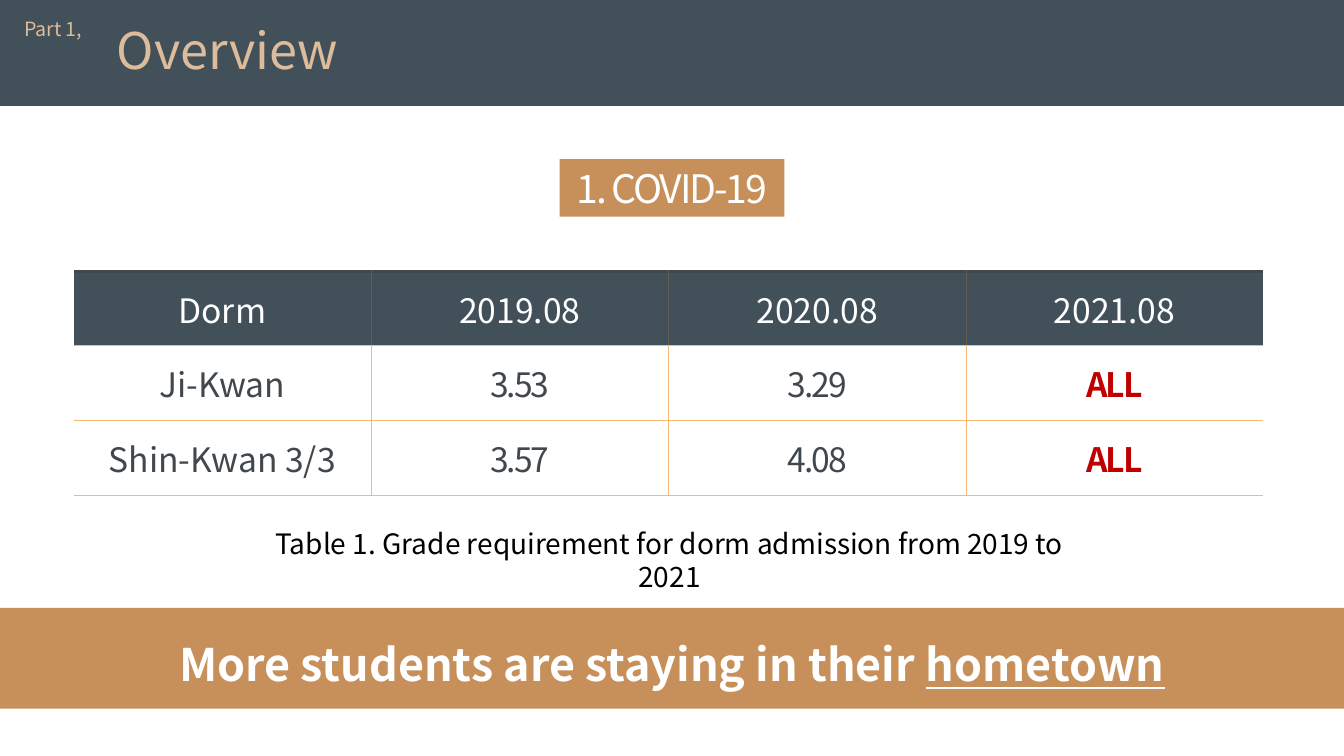
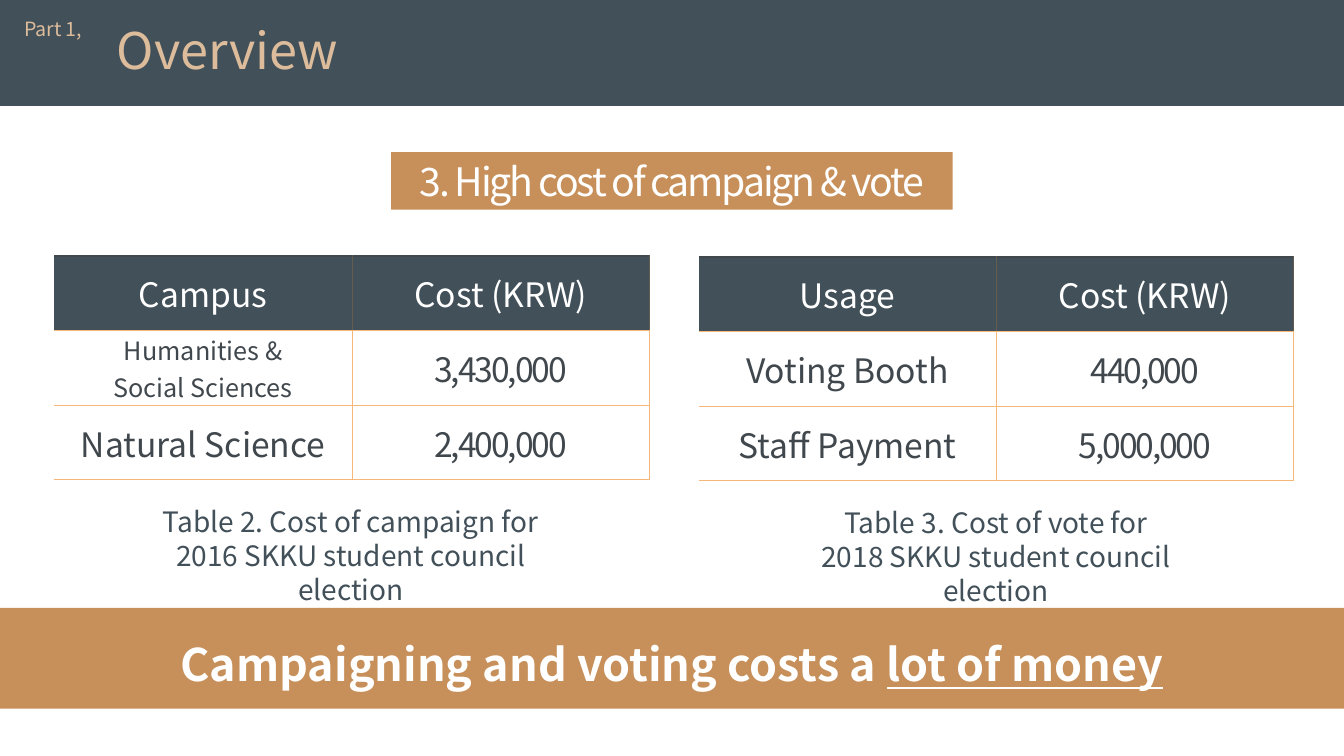
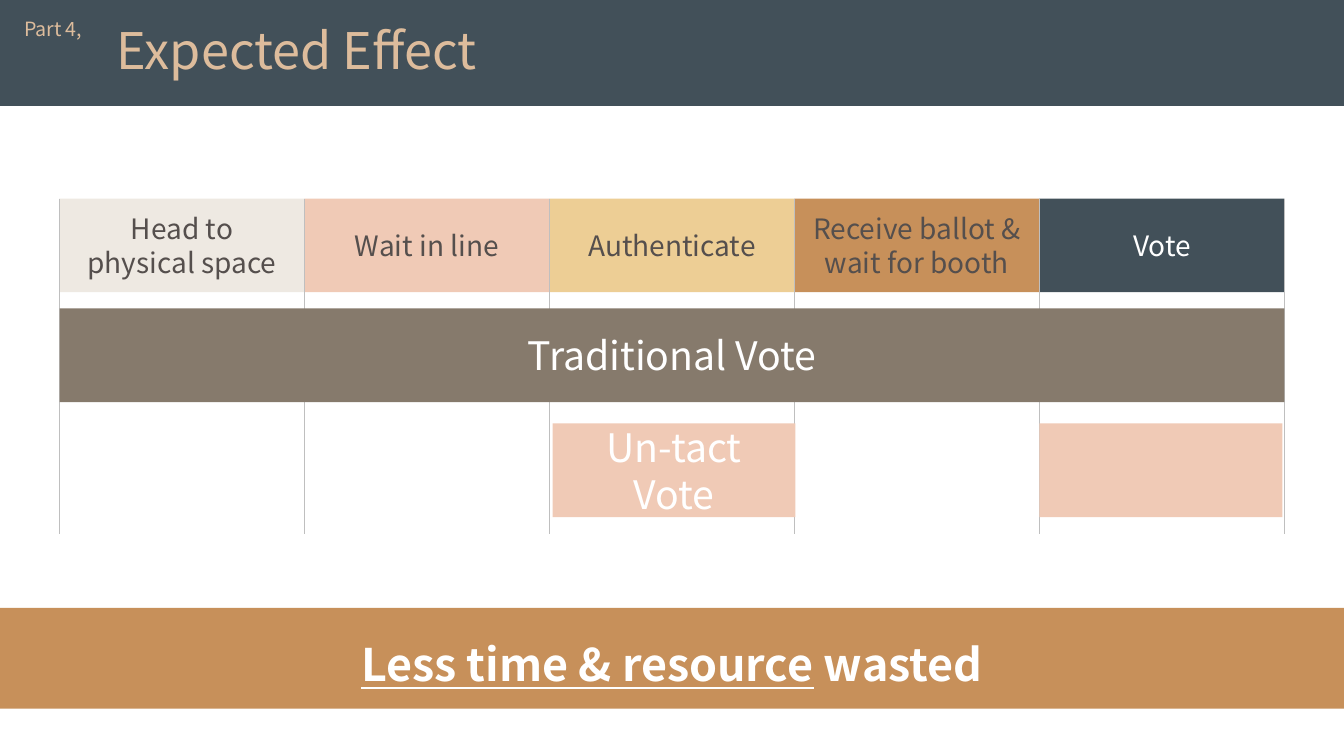
from lxml import etree
from pptx import Presentation
from pptx.dml.color import RGBColor
from pptx.enum import shapes, text
from pptx.oxml import ns
from pptx.util import Inches, Pt

FONT = "Noto Sans CJK KR"
SLATE = RGBColor(0x42, 0x50, 0x59)
BROWN = RGBColor(0xC7, 0x90, 0x5A)
SAND = RGBColor(0xDD, 0xBC, 0x9C)
WHITE = RGBColor(0xFF, 0xFF, 0xFF)
BLACK = RGBColor(0, 0, 0)
INK = RGBColor(0x40, 0x47, 0x4D)
RED = RGBColor(0xC0, 0, 0)
GOLD = RGBColor(0xF6, 0xB8, 0x79)
DUSK = RGBColor(0x64, 0x5B, 0x51)
CREAM = RGBColor(0xEE, 0xE9, 0xE2)
PINK = RGBColor(0xF0, 0xCA, 0xB6)
WHEAT = RGBColor(0xED, 0xCE, 0x95)
TAUPE = RGBColor(0x86, 0x7A, 0x6C)
COCOA = RGBColor(0x55, 0x4F, 0x4D)
GREY = RGBColor(0xBF, 0xBF, 0xBF)

WIDE = 13.33
CELL_W, CELL_H = 2.95, 0.74
MID = text.PP_ALIGN.CENTER


# Text
def write(frame, lines, size, color, align=MID, bold=False, tight=False):
    """Fill a frame, one paragraph for each line."""
    frame.word_wrap = True
    for i, line in enumerate(lines.split("\n")):
        para = frame.paragraphs[0] if i == 0 else frame.add_paragraph()
        run = para.add_run()
        run.text = line
        para.alignment = align
        style(para, size, color, bold)
        if tight:
            run.font._element.set("spc", "-150")


def style(para, size, color, bold=False):
    font = para.font
    font.name, font.size, font.bold = FONT, Pt(size), bold
    font.color.rgb = color


def label(slide, box, lines, size, color, align=MID):
    area = slide.shapes.add_textbox(*map(Inches, box))
    write(area.text_frame, lines, size, color, align)


# Shapes
def block(slide, box, fill, lines="", size=28, color=WHITE, tight=False):
    rect = slide.shapes.add_shape(shapes.MSO_SHAPE.RECTANGLE, *map(Inches, box))
    rect.shadow.inherit = False
    rect.fill.solid()
    rect.fill.fore_color.rgb = fill
    rect.line.fill.background()
    if lines:
        rect.text_frame.vertical_anchor = text.MSO_ANCHOR.MIDDLE
        write(rect.text_frame, lines, size, color, tight=tight)
    return rect


def rule(slide, x, top, end):
    line = slide.shapes.add_connector(
        shapes.MSO_CONNECTOR.STRAIGHT, *map(Inches, (x, top, x, end)))
    line.line.color.rgb = GREY
    line.line.width = Pt(0.5)
    etree.SubElement(line._element.spPr, ns.qn("a:effectLst"))


# Tables
def edge(cell, side, color, width=0.5):
    """Draw one cell border, or clear it when color is None."""
    props = cell._tc.get_or_add_tcPr()
    line = etree.SubElement(props, ns.qn("a:ln" + side), w=str(Pt(width)))
    if color is None:
        etree.SubElement(line, ns.qn("a:noFill"))
    else:
        fill = etree.SubElement(line, ns.qn("a:solidFill"))
        etree.SubElement(fill, ns.qn("a:srgbClr"), val=str(color))


def grid(slide, left, top, rows, closed=True):
    """Add a table; closed gives it a border on the right."""
    count = len(rows[0])
    size = (count * CELL_W, len(rows) * CELL_H)
    table = slide.shapes.add_table(
        len(rows), count, *map(Inches, (left, top, *size))).table
    table.first_row = table.horz_banding = False
    for r, row in enumerate(rows):
        head = r == 0
        for c, value in enumerate(row):
            cell = table.cell(r, c)
            side = DUSK if head else GOLD
            last = c == count - 1
            edge(cell, "L", side if c else None)
            edge(cell, "R", side if closed or not last else None)
            edge(cell, "T", INK if head else GOLD, 2.25 if head else 0.5)
            edge(cell, "B", GOLD)
            cell.fill.solid()
            cell.fill.fore_color.rgb = SLATE if head else WHITE
            cell.vertical_anchor = text.MSO_ANCHOR.MIDDLE
            cell.margin_top = cell.margin_bottom = 0
            key = value == "ALL"
            color = WHITE if head else RED if key else INK
            write(cell.text_frame, value, 18 if "\n" in value else 24, color,
                  bold=key, tight=not head and c > 0)


# Shared frame of every slide
def start(deck, part, title, points):
    """Add a slide; points are (words, underlined) pairs for the lower band."""
    slide = deck.slides.add_slide(deck.slide_layouts[5])
    for top, high, fill in ((0, 1.05, SLATE), (6.03, 1, BROWN)):
        band = block(slide, (0, top, WIDE, high), fill)
        slide.shapes._spTree.insert(2, band._element)

    head = slide.shapes.title
    head.left, head.top, head.width, head.height = map(
        Inches, (1.06, 0.14, 6.92, 0.71))
    frame = head.text_frame
    frame.auto_size = text.MSO_AUTO_SIZE.NONE
    frame.vertical_anchor = text.MSO_ANCHOR.TOP
    write(frame, title, 36, SAND, text.PP_ALIGN.LEFT)
    label(slide, (0.14, 0.12, 0.82, 0.34), part, 14, SAND, text.PP_ALIGN.LEFT)

    area = slide.shapes.add_textbox(*map(Inches, (0, 6.16, WIDE, 0.75)))
    para = area.text_frame.paragraphs[0]
    for words, under in points:
        run = para.add_run()
        run.text = words
        run.font.underline = under
    para.alignment, para.line_spacing = MID, 1.2
    style(para, 32, WHITE, True)
    return slide


# Slides
def covid(deck):
    slide = start(deck, "Part 1,", "Overview", [
        ("More students are staying in their ", False), ("hometown", True)])
    block(slide, (5.55, 1.58, 2.23, 0.57), BROWN, "1. COVID-19", tight=True)
    grid(slide, 0.73, 2.69, [
        ("Dorm", "2019.08", "2020.08", "2021.08"),
        ("Ji-Kwan", "3.53", "3.29", "ALL"),
        ("Shin-Kwan 3/3", "3.57", "4.08", "ALL")], closed=False)
    label(slide, (2.39, 5.17, 8.5, 0.44),
          "Table 1. Grade requirement for dorm admission from 2019 to 2021",
          20, BLACK)


def cost(deck):
    slide = start(deck, "Part 1,", "Overview", [
        ("Campaigning and voting costs a ", False), ("lot of money", True)])
    block(slide, (3.88, 1.51, 5.57, 0.57), BROWN,
          "3. High cost of campaign & vote", tight=True)
    grid(slide, 0.54, 2.54, [
        ("Campus", "Cost (KRW)"),
        ("Humanities &\nSocial Sciences", "3,430,000"),
        ("Natural Science", "2,400,000")])
    grid(slide, 6.93, 2.55, [
        ("Usage", "Cost (KRW)"),
        ("Voting Booth", "440,000"),
        ("Staff Payment", "5,000,000")])
    label(slide, (1.15, 4.96, 4.66, 0.77), "Table 2. Cost of campaign for\n"
          "2016 SKKU student council election", 20, SLATE)
    label(slide, (7.55, 4.97, 4.66, 0.77), "Table 3. Cost of vote for\n"
          "2018 SKKU student council election", 20, SLATE)


def effect(deck):
    slide = start(deck, "Part 4,", "Expected Effect", [
        ("Less time & resource", True), (" wasted", False)])
    steps = [("Head to\nphysical space", CREAM, COCOA),
             ("Wait in line", PINK, COCOA),
             ("Authenticate", WHEAT, COCOA),
             ("Receive ballot &\nwait for booth", BROWN, COCOA),
             ("Vote", SLATE, WHITE)]
    left, top, step, high = 0.59, 1.97, 2.43, 0.93
    for i, (name, fill, color) in enumerate(steps):
        block(slide, (left + i * step, top, step, high), fill, name, 20, color)
    for i in range(len(steps) + 1):
        rule(slide, left + i * step, top, 5.3)

    # Steps that each kind of vote needs
    block(slide, (left, 3.06, len(steps) * step, high), TAUPE,
          "Traditional Vote")
    block(slide, (5.48, 4.2, 2.41, high), PINK, "Un-tact Vote")
    block(slide, (10.31, 4.2, 2.41, high), PINK)


def main():
    deck = Presentation()
    deck.slide_width, deck.slide_height = Inches(WIDE), Inches(7.5)
    for build in (covid, cost, effect):
        build(deck)
    deck.save("out.pptx")


if __name__ == "__main__":
    main()
